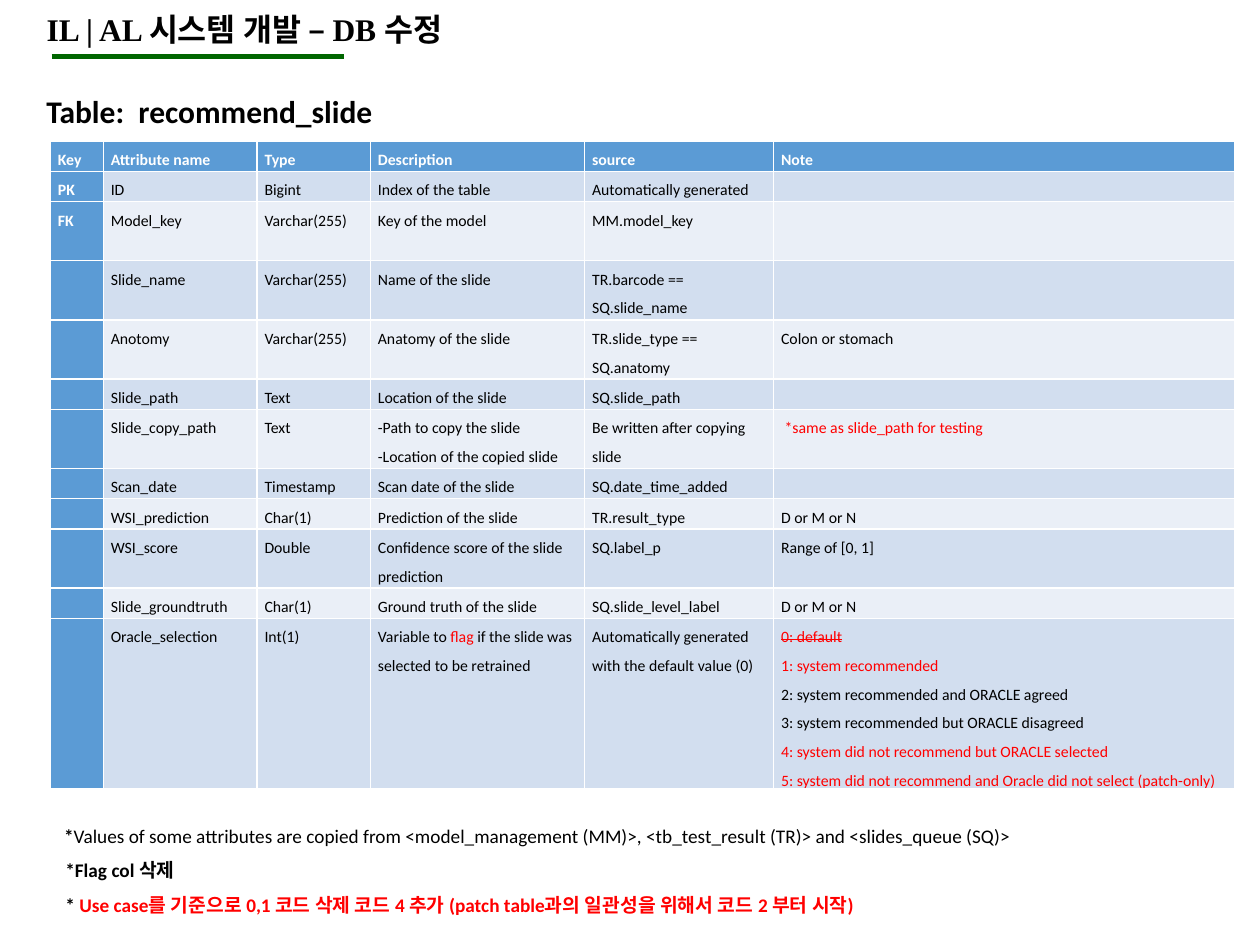
from collections import namedtuple

from lxml.etree import SubElement
from pptx import Presentation
from pptx.dml.color import RGBColor
from pptx.enum.shapes import MSO_CONNECTOR
from pptx.enum.text import MSO_ANCHOR, MSO_AUTO_SIZE, PP_ALIGN
from pptx.oxml.ns import qn
from pptx.util import Inches, Pt

COLORS = {
    "black": "000000",
    "white": "FFFFFF",
    "red": "FF0000",
    "green": "006600",
    "header": "5B9BD5",
    "band_dark": "D2DEEF",
    "band_light": "EAEFF7",
}
Part = namedtuple("Part", "text color bold strike", defaults=(None, None, False))

COLUMN_WIDTHS = [0.42, 1.22, 0.9, 1.7, 1.5, 3.66]
LINE_HEIGHT = 0.24
ROW_HEIGHTS = {2: 0.47, 3: 0.47, 4: 0.47, 6: 0.47, 9: 0.47, 11: 0.95}
ATTRIBUTES = [
    ["Key", "Attribute name", "Type", "Description", "source", "Note"],
    ["PK", "ID", "Bigint", "Index of the table", "Automatically generated", ""],
    ["FK", "Model_key", "Varchar(255)", "Key of the model", "MM.model_key", ""],
    ["", "Slide_name", "Varchar(255)", "Name of the slide",
     "TR.barcode == SQ.slide_name", ""],
    ["", "Anotomy", "Varchar(255)", "Anatomy of the slide",
     "TR.slide_type == SQ.anatomy", "Colon or stomach"],
    ["", "Slide_path", "Text", "Location of the slide", "SQ.slide_path", ""],
    ["", "Slide_copy_path", "Text",
     "-Path to copy the slide\v-Location of the copied slide",
     "Be written after copying slide",
     [[Part(" *same as slide_path for testing", "red")]]],
    ["", "Scan_date", "Timestamp", "Scan date of the slide",
     "SQ.date_time_added", ""],
    ["", "WSI_prediction", "Char(1)", "Prediction of the slide",
     "TR.result_type", "D or M or N"],
    ["", "WSI_score", "Double", "Confidence score of the slide prediction",
     "SQ.label_p", "Range of [0, 1]"],
    ["", "Slide_groundtruth", "Char(1)", "Ground truth of the slide",
     "SQ.slide_level_label", "D or M or N"],
    ["", "Oracle_selection", "Int(1)",
     [[Part("Variable to"), Part(" flag ", "red"),
       Part("if the slide was selected to be retrained")]],
     "Automatically generated with the default value (0)",
     [[Part("0: default", "red", strike=True)],
      [Part("1: system recommended", "red")],
      "2: system recommended and ORACLE agreed",
      "3: system recommended but ORACLE disagreed",
      [Part("4: system did not recommend but ORACLE selected", "red")],
      [Part("5: system did not recommend and Oracle did not select (patch-only)",
            "red")]]],
]


def rgb(name):
    return RGBColor.from_string(COLORS[name])


def write_parts(paragraph, parts):
    for part in parts:
        run = paragraph.add_run()
        run.text = part.text
        if part.color:
            run.font.color.rgb = rgb(part.color)
        if part.bold is not None:
            run.font.bold = part.bold
        if part.strike:
            run._r.get_or_add_rPr().set("strike", "sngStrike")


def write_text(frame, content, size, bold, color="black", spacing=1.5,
               font="Calibri"):
    lines = [content] if isinstance(content, str) else content
    for index, line in enumerate(lines):
        paragraph = frame.add_paragraph() if index else frame.paragraphs[0]
        if isinstance(line, str):
            paragraph.text = line
        else:
            write_parts(paragraph, line)
        paragraph.line_spacing = spacing
        paragraph.font.name = font
        paragraph.font.size = Pt(size)
        paragraph.font.bold = bold
        paragraph.font.color.rgb = rgb(color)
        if not line:
            SubElement(paragraph._p, qn("a:endParaRPr"), sz=str(size * 100))


def add_title(slide, text):
    title = slide.shapes.title
    title.left, title.top = Inches(0.27), Inches(0.03)
    title.width, title.height = Inches(6.96), Inches(0.4)
    frame = title.text_frame
    frame.auto_size = MSO_AUTO_SIZE.SHAPE_TO_FIT_TEXT
    frame.vertical_anchor = MSO_ANCHOR.TOP
    write_text(frame, text, 18, True, spacing=1, font="Times New Roman")
    frame.paragraphs[0].alignment = PP_ALIGN.LEFT


def add_text(slide, left, top, width, height, content, size, bold,
             spacing=1.5, wrap=True):
    box = slide.shapes.add_textbox(
        Inches(left), Inches(top), Inches(width), Inches(height))
    box.text_frame.word_wrap = wrap
    box.text_frame.auto_size = MSO_AUTO_SIZE.SHAPE_TO_FIT_TEXT
    write_text(box.text_frame, content, size, bold, spacing=spacing)


def add_underline(slide):
    rule = slide.shapes.add_connector(
        MSO_CONNECTOR.STRAIGHT,
        Inches(0.41), Inches(0.45), Inches(2.73), Inches(0.45))
    rule.line.color.rgb = rgb("green")
    rule.line.width = Pt(3)
    SubElement(rule._element.spPr, qn("a:effectLst"))


def add_attribute_table(slide):
    heights = [ROW_HEIGHTS.get(row, LINE_HEIGHT) for row in range(len(ATTRIBUTES))]
    table = slide.shapes.add_table(
        len(ATTRIBUTES), len(COLUMN_WIDTHS), Inches(0.4), Inches(1.12),
        Inches(sum(COLUMN_WIDTHS)), Inches(sum(heights))).table
    table.first_col = True
    for column, width in zip(table.columns, COLUMN_WIDTHS):
        column.width = Inches(width)
    for row, height in zip(table.rows, heights):
        row.height = Inches(height)
    for row, contents in enumerate(ATTRIBUTES):
        band = "band_dark" if row % 2 else "band_light"
        for column, content in enumerate(contents):
            cell = table.cell(row, column)
            heading = row == 0 or column == 0
            cell.fill.solid()
            cell.fill.fore_color.rgb = rgb("header" if heading else band)
            cell.margin_left = cell.margin_right = Inches(0.06)
            cell.margin_top = cell.margin_bottom = 0
            write_text(cell.text_frame, content, 9, heading,
                       "white" if heading else "black")


def main():
    deck = Presentation()
    deck.slide_width, deck.slide_height = Inches(10), Inches(7.5)
    slide = deck.slides.add_slide(deck.slide_layouts[5])
    add_title(slide, "IL | AL 시스템 개발 – DB 수정")
    add_underline(slide)
    add_text(slide, 0.27, 0.68, 2.87, 0.4, "Table:  recommend_slide", 18, True,
             spacing=1, wrap=False)
    add_attribute_table(slide)
    add_text(slide, 0.41, 6.4, 8.59, 0.35, [[
        Part("*", bold=True),
        Part("Values of some attributes are copied from <model_management (MM)>, "
             "<tb_test_result (TR)> and <slides_queue (SQ)>")]], 11, False)
    add_text(slide, 0.42, 6.67, 8.59, 0.63, [
        "*Flag col 삭제",
        [Part("* "),
         Part("Use case를 기준으로 0,1 코드 삭제 코드 4 추가 "
              "(patch table과의 일관성을 위해서 코드 2 부터 시작)", "red")]], 11, True)
    deck.save("out.pptx")


if __name__ == "__main__":
    main()
